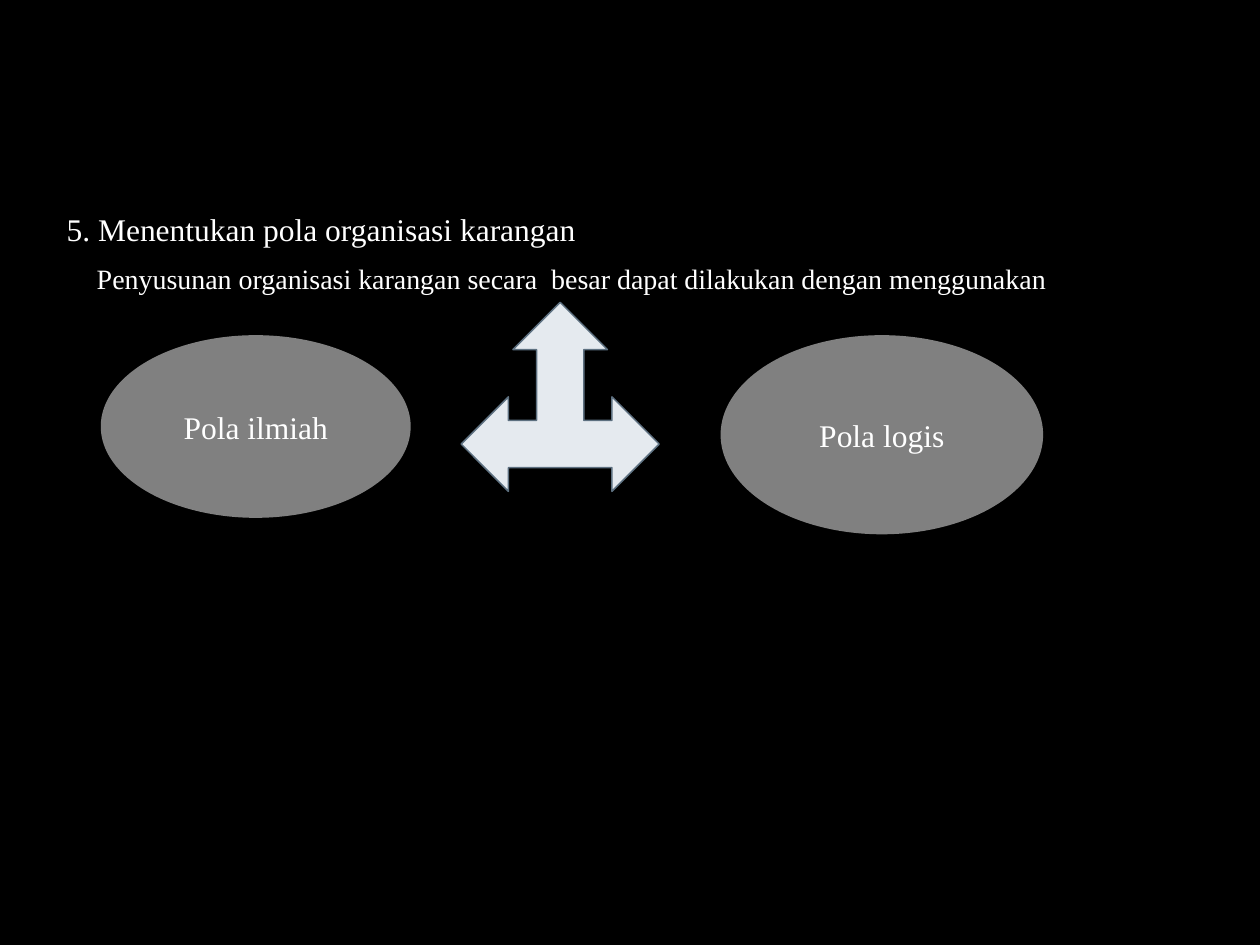
import pptx
import pptx.dml.color
import pptx.enum.shapes
import pptx.enum.text
import pptx.util

Pt = pptx.util.Pt
SHAPES = pptx.enum.shapes.MSO_SHAPE
ALIGN = pptx.enum.text.PP_ALIGN
ANCHOR = pptx.enum.text.MSO_ANCHOR

BLACK = pptx.dml.color.RGBColor(0x00, 0x00, 0x00)
WHITE = pptx.dml.color.RGBColor(0xFF, 0xFF, 0xFF)
GRAY = pptx.dml.color.RGBColor(0x80, 0x80, 0x80)
PALE_BLUE = pptx.dml.color.RGBColor(0xE5, 0xEA, 0xEF)
SLATE = pptx.dml.color.RGBColor(0x5D, 0x70, 0x80)
FONT_NAME = "Times New Roman"


def write_text(shape, text, size=18, align=ALIGN.LEFT, anchor=ANCHOR.TOP):
    """Put one formatted paragraph into a shape or text box."""
    frame = shape.text_frame
    frame.word_wrap = True
    frame.vertical_anchor = anchor
    para = frame.paragraphs[0]
    para.alignment = align
    span = para.add_run()
    span.text = text
    span.font.name = FONT_NAME
    span.font.size = Pt(size)
    span.font.color.rgb = WHITE


def add_text(page, text, left, top, width, height, **text_format):
    """Add a text box with one formatted paragraph."""
    box = page.shapes.add_textbox(Pt(left), Pt(top), Pt(width), Pt(height))
    write_text(box, text, **text_format)


def add_figure(page, kind, left, top, width, height, fill, line=None):
    """Add a flat preset shape, outlined only when a line colour is given."""
    figure = page.shapes.add_shape(kind, Pt(left), Pt(top), Pt(width), Pt(height))
    figure.shadow.inherit = False
    figure.fill.solid()
    figure.fill.fore_color.rgb = fill
    if line is None:
        figure.line.fill.background()
    else:
        figure.line.color.rgb = line
        figure.line.width = Pt(0.85)
    return figure


def add_pattern(page, label, left, top, width, height):
    """Add a gray ellipse with a centred label."""
    ellipse = add_figure(page, SHAPES.OVAL, left, top, width, height, GRAY)
    write_text(ellipse, label, align=ALIGN.CENTER, anchor=ANCHOR.MIDDLE)


def main():
    """Build the slide on patterns of essay organisation."""
    deck = pptx.Presentation()
    deck.slide_width, deck.slide_height = Pt(720), Pt(540)
    page = deck.slides.add_slide(deck.slide_layouts[6])
    page.background.fill.solid()
    page.background.fill.fore_color.rgb = BLACK

    add_text(page, "5. Menentukan pola organisasi karangan", 31, 116.6, 607, 29)
    add_text(
        page,
        "Penyusunan organisasi karangan secara  besar dapat dilakukan dengan menggunakan",
        48.2, 146.2, 561, 45.4, size=16,
    )
    add_figure(page, SHAPES.LEFT_RIGHT_UP_ARROW, 263.5, 172.8, 113.2, 108, PALE_BLUE, SLATE)
    add_pattern(page, "Pola logis", 411.8, 191.5, 184.3, 113.8)
    add_pattern(page, "Pola ilmiah", 57.6, 191.5, 177.1, 104.4)
    deck.save("out.pptx")


if __name__ == "__main__":
    main()
